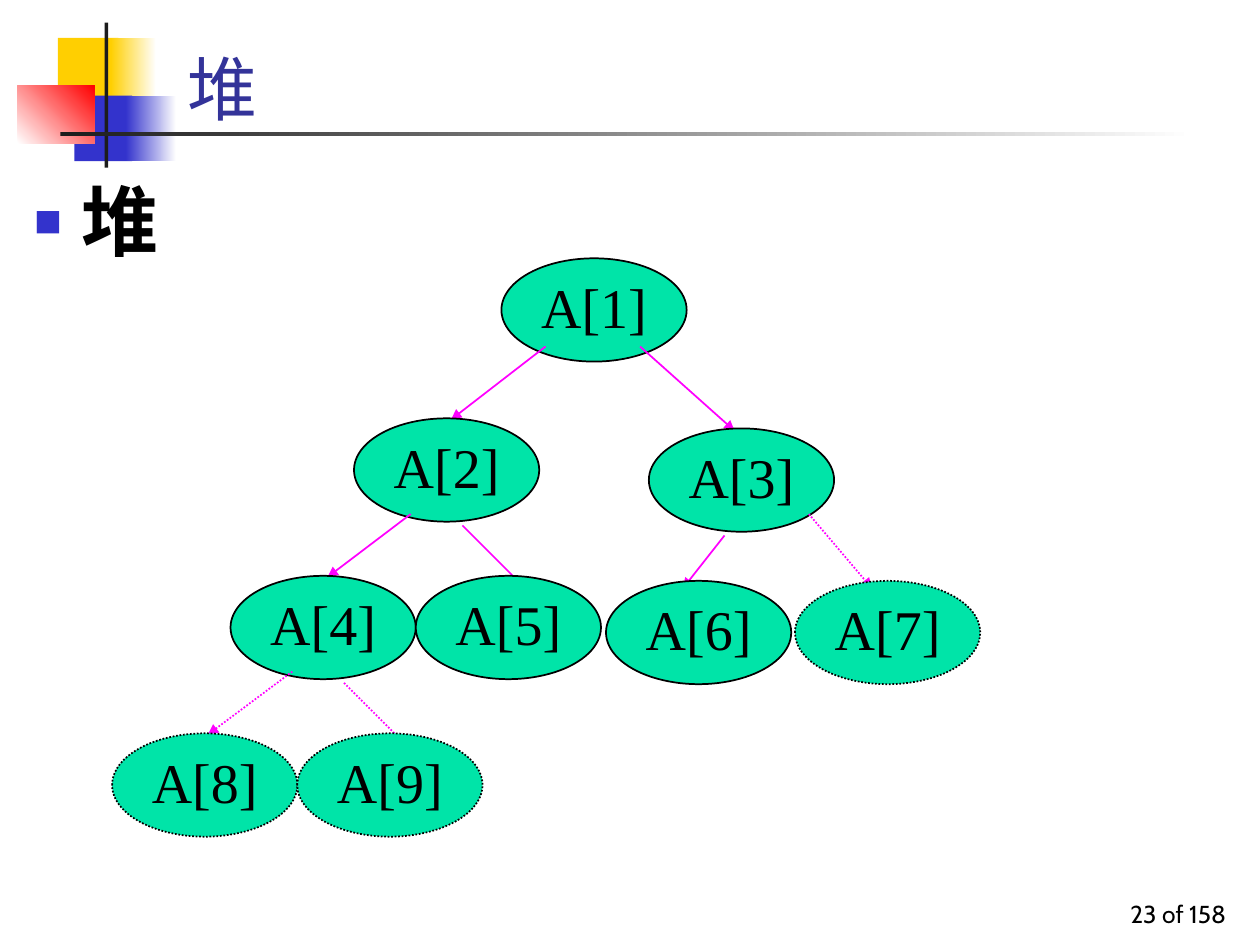
from typing import NamedTuple, Optional

from lxml.etree import SubElement
from pptx import Presentation
from pptx.dml.color import RGBColor
from pptx.enum.dml import MSO_LINE
from pptx.enum.shapes import MSO_CONNECTOR, MSO_SHAPE
from pptx.enum.text import MSO_ANCHOR, MSO_AUTO_SIZE, PP_ALIGN
from pptx.oxml.ns import qn
from pptx.util import Inches, Pt

BLACK = RGBColor(0x00, 0x00, 0x00)
WHITE = RGBColor(0xFF, 0xFF, 0xFF)
CHARCOAL = RGBColor(0x1C, 0x1C, 0x1C)
YELLOW = RGBColor(0xFF, 0xCF, 0x01)
BLUE = RGBColor(0x33, 0x33, 0xCC)
RED = RGBColor(0xFF, 0x00, 0x00)
INDIGO = RGBColor(0x33, 0x33, 0x99)
GREEN = RGBColor(0x00, 0xE4, 0xA8)
MAGENTA = RGBColor(0xFF, 0x00, 0xFF)

SERIF = "Times New Roman"
NODE_WIDTH, NODE_HEIGHT = 1.47, 0.82


class Block(NamedTuple):
    left: float
    top: float
    width: float
    height: float
    color: RGBColor
    fade_to: Optional[RGBColor] = None
    angle: float = 0


class Edge(NamedTuple):
    start: tuple[float, float]
    end: tuple[float, float]


class Node(NamedTuple):
    left: float
    top: float
    edge: Optional[Edge] = None
    dotted: bool = False


BLOCKS = [
    Block(0.46, 0.3, 0.48, 0.52, YELLOW),
    Block(0.88, 0.3, 0.36, 0.52, YELLOW, WHITE),
    Block(0.59, 0.76, 0.46, 0.52, BLUE),
    Block(1, 0.76, 0.4, 0.52, BLUE, WHITE),
    Block(0.14, 0.68, 0.61, 0.46, WHITE, RED, 45),
    Block(0.83, 0.18, 0.03, 1.15, CHARCOAL),
    Block(0.48, 1.05, 9, 0.03, CHARCOAL, WHITE),
]

HEAP = [
    Node(3.98, 2.05),
    Node(2.81, 3.32, Edge((4.33, 2.75), (3.58, 3.33))),
    Node(5.15, 3.4, Edge((5.08, 2.75), (5.83, 3.42))),
    Node(1.83, 4.57, Edge((3.26, 4.08), (2.6, 4.58))),
    Node(3.3, 4.57, Edge((3.67, 4.17), (4.17, 4.67))),
    Node(4.81, 4.61, Edge((5.75, 4.25), (5.42, 4.67))),
    Node(6.31, 4.61, Edge((6.42, 4.08), (6.92, 4.67)), True),
    Node(0.89, 5.82, Edge((2.32, 5.33), (1.65, 5.83)), True),
    Node(2.36, 5.82, Edge((2.73, 5.42), (3.23, 5.92)), True),
]


def place(shape, left: float, top: float, width: float, height: float) -> None:
    shape.left, shape.top = Inches(left), Inches(top)
    shape.width, shape.height = Inches(width), Inches(height)


def add_text(paragraph, text: str, size: float, color: RGBColor,
             font: str = SERIF, bold: bool = False) -> None:
    run = paragraph.add_run()
    run.text = text
    run.font.name = font
    run.font.size = Pt(size)
    run.font.bold = bold
    run.font.color.rgb = color


def draw_block(shapes, block: Block) -> None:
    rectangle = shapes.add_shape(
        MSO_SHAPE.RECTANGLE, Inches(block.left), Inches(block.top),
        Inches(block.width), Inches(block.height))
    rectangle.shadow.inherit = False
    rectangle.line.fill.background()
    if block.fade_to is None:
        rectangle.fill.solid()
        rectangle.fill.fore_color.rgb = block.color
        return
    rectangle.fill.gradient()
    rectangle.fill.gradient_angle = block.angle
    for stop, color in zip(rectangle.fill.gradient_stops, (block.color, block.fade_to)):
        stop.color.rgb = color


def style_line(line, color: RGBColor, dotted: bool) -> None:
    line.color.rgb = color
    line.width = Pt(1)
    if dotted:
        line.dash_style = MSO_LINE.ROUND_DOT


def draw_edge(shapes, edge: Edge, dotted: bool) -> None:
    arrow = shapes.add_connector(
        MSO_CONNECTOR.STRAIGHT,
        *(Inches(value) for value in edge.start + edge.end))
    style_line(arrow.line, MAGENTA, dotted)
    SubElement(arrow.line._get_or_add_ln(), qn("a:tailEnd"), type="triangle")
    SubElement(arrow._element.spPr, qn("a:effectLst"))


def draw_node(shapes, number: int, node: Node) -> None:
    if node.edge:
        draw_edge(shapes, node.edge, node.dotted)
    ellipse = shapes.add_shape(
        MSO_SHAPE.OVAL, Inches(node.left), Inches(node.top),
        Inches(NODE_WIDTH), Inches(NODE_HEIGHT))
    ellipse.shadow.inherit = False
    ellipse.fill.solid()
    ellipse.fill.fore_color.rgb = GREEN
    style_line(ellipse.line, BLACK, node.dotted)
    frame = ellipse.text_frame
    frame.word_wrap = False
    frame.vertical_anchor = MSO_ANCHOR.MIDDLE
    label = frame.paragraphs[0]
    label.alignment = PP_ALIGN.CENTER
    label.line_spacing = 0.9
    add_text(label, f"A[{number}]", 32, BLACK)


def fill_title(title) -> None:
    place(title, 1.39, 0.59, 8.52, 0.49)
    frame = title.text_frame
    frame.auto_size = MSO_AUTO_SIZE.NONE
    frame.vertical_anchor = MSO_ANCHOR.BOTTOM
    heading = frame.paragraphs[0]
    heading.alignment = PP_ALIGN.LEFT
    add_text(heading, "堆", 40, INDIGO)


def fill_body(body) -> None:
    place(body, 0.17, 1.33, 9.63, 5.58)
    frame = body.text_frame
    frame.auto_size = MSO_AUTO_SIZE.NONE
    topic = frame.paragraphs[0]
    topic.space_before = Pt(0)
    properties = topic._p.get_or_add_pPr()
    properties.set("marL", str(Inches(0.38)))
    properties.set("indent", str(-Inches(0.38)))
    bullet_color = SubElement(properties, qn("a:buClr"))
    SubElement(bullet_color, qn("a:srgbClr"), val=str(BLUE))
    SubElement(properties, qn("a:buSzPct"), val="60000")
    SubElement(properties, qn("a:buChar"), char="■")
    add_text(topic, "堆", 44, BLACK, bold=True)


def add_page_number(shapes) -> None:
    page = shapes.add_textbox(Inches(7.75), Inches(6.92), Inches(2.08), Inches(0.5))
    frame = page.text_frame
    frame.word_wrap = True
    frame.vertical_anchor = MSO_ANCHOR.BOTTOM
    count = frame.paragraphs[0]
    count.alignment = PP_ALIGN.RIGHT
    add_text(count, "23 of 158", 14, BLACK, "Cabin")


def main() -> None:
    deck = Presentation()
    deck.slide_width, deck.slide_height = Inches(10), Inches(7.5)
    slide = deck.slides.add_slide(deck.slide_layouts[1])
    shapes = slide.shapes
    fill_title(shapes.title)
    fill_body(slide.placeholders[1])
    for block in BLOCKS:
        draw_block(shapes, block)
    add_page_number(shapes)
    for number, node in enumerate(HEAP, start=1):
        draw_node(shapes, number, node)
    deck.save("out.pptx")


if __name__ == "__main__":
    main()
